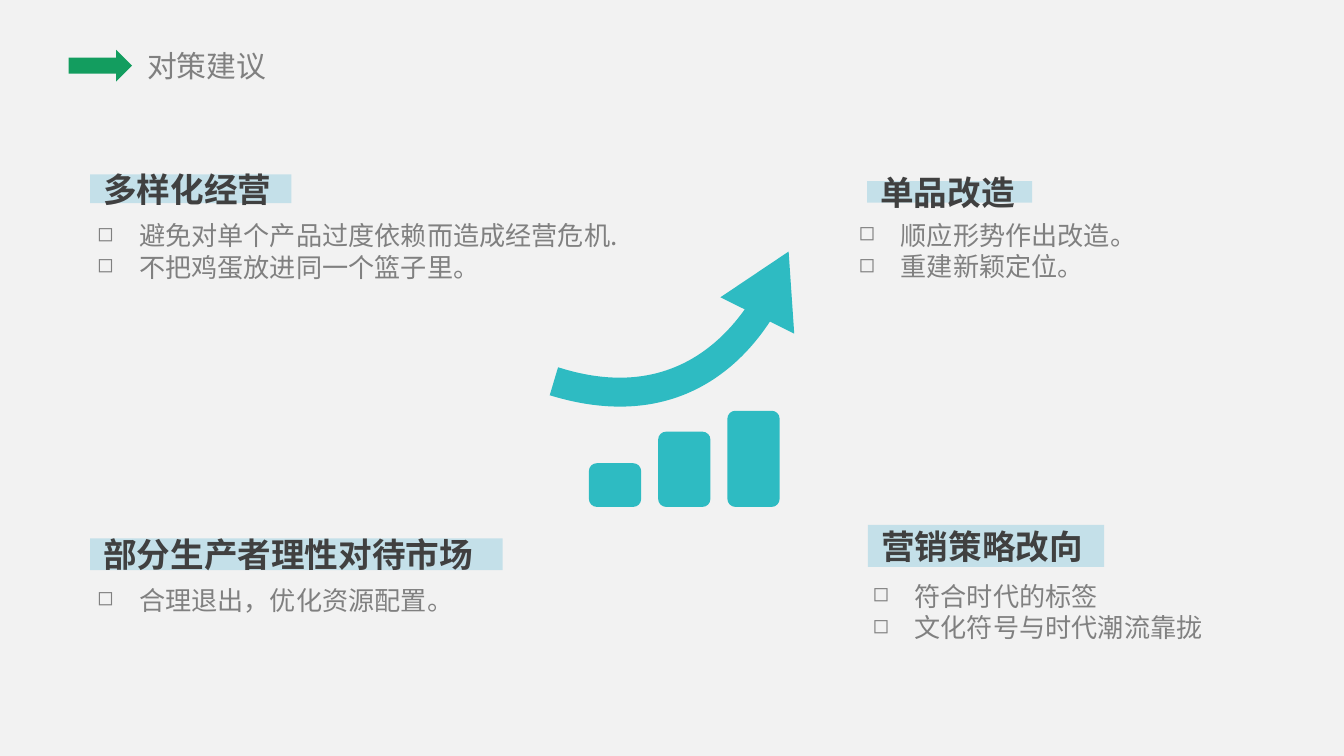
from lxml.etree import SubElement as Sub
from pptx import Presentation
from pptx.dml.color import RGBColor as Rgb
from pptx.enum.shapes import MSO_SHAPE as Kind
from pptx.enum.text import MSO_ANCHOR as Anchor, MSO_AUTO_SIZE as Auto, PP_ALIGN as Align
from pptx.oxml.ns import qn
from pptx.util import Pt

FONT = "Noto Sans CJK SC"
COLORS = {"back": "F2F2F2", "green": "139D5F", "band": "C4E0E9",
          "teal": "2EBBC2", "head": "404040", "text": "808080"}
STYLES = {
    "title": {"size": Pt(16), "bold": False, "color": "text"},
    "head": {"size": Pt(18), "bold": True, "color": "head"},
    "item": {"size": Pt(14), "bold": False, "color": "text"},
}
INDENT = 22.5

# Band box, heading, list corner relative to the band, list items
BLOCKS = [
    ((48.3, 93.4, 107.8, 15.4), "多样化经营", (3.7, 24.3),
     ["避免对单个产品过度依赖而造成经营危机.", "不把鸡蛋放进同一个篮子里。"]),
    ((464.5, 97, 88.5, 11.6), "单品改造", (-4.5, 20.5),
     ["顺应形势作出改造。", "重建新颖定位。"]),
    ((48.3, 288.5, 221, 17), "部分生产者理性对待市场", (3.7, 24.5),
     ["合理退出，优化资源配置。"]),
    ((465, 281.2, 126.5, 22.5), "营销策略改向", (2.5, 29.6),
     ["符合时代的标签", "文化符号与时代潮流靠拢"]),
]


def color(name):
    return Rgb.from_string(COLORS[name])


def paint(shape, name):
    shape.shadow.inherit = False
    shape.fill.solid()
    shape.fill.fore_color.rgb = color(name)
    shape.line.fill.background()


def write(para, text, style):
    run = para.add_run()
    run.text = text
    para.alignment = Align.LEFT
    font = run.font
    font.name = FONT
    for key, value in STYLES[style].items():
        if key == "color":
            font.color.rgb = color(value)
        else:
            setattr(font, key, value)
    Sub(run._r.get_or_add_rPr(), qn("a:ea"), typeface=FONT)


def setup(frame, **values):
    for key, value in values.items():
        setattr(frame, key, value)


def header(slide, x, y, w, h):
    # Arrow on the left, title on the right
    arrow = slide.shapes.add_shape(Kind.RIGHT_ARROW, Pt(x), Pt(y + 5.2), Pt(34), Pt(17))
    paint(arrow, "green")
    title = slide.shapes.title
    setup(title, left=Pt(x + 34.5), top=Pt(y), width=Pt(w - 34.5), height=Pt(h))
    frame = title.text_frame
    setup(frame, word_wrap=False, auto_size=Auto.NONE, vertical_anchor=Anchor.MIDDLE,
          margin_left=Pt(7.5), margin_right=Pt(7.5))
    write(frame.paragraphs[0], "对策建议", "title")


def block(slide, box, head, shift, items):
    # Heading on its band
    x, y, w, h = box
    band = slide.shapes.add_shape(Kind.RECTANGLE, *map(Pt, box))
    paint(band, "band")
    band.text_frame.vertical_anchor = Anchor.MIDDLE
    write(band.text_frame.paragraphs[0], head, "head")

    # Bulleted list
    note = slide.shapes.add_textbox(Pt(x + shift[0]), Pt(y + shift[1]),
                                    Pt(294.5), Pt(17 * len(items)))
    frame = note.text_frame
    setup(frame, word_wrap=True, margin_left=0, margin_top=0,
          margin_right=0, margin_bottom=0)
    for i, item in enumerate(items):
        para = frame.add_paragraph() if i else frame.paragraphs[0]
        para.line_spacing = Pt(16.8)
        write(para, item, "item")
        props = para._p.get_or_add_pPr()
        props.set("marL", str(Pt(INDENT)))
        props.set("indent", str(-Pt(INDENT)))
        Sub(props, qn("a:buSzPct"), val="78000")
        Sub(props, qn("a:buChar"), char="◻")


def round_bar(x, y, w, h, r=4.3, c=1.9):
    """Steps around a bar: one point is a line, three are a curve."""
    right, low = x + w, y + h
    return [[(x + r, y)],
            [(right - r, y)], [(right - c, y), (right, y + c), (right, y + r)],
            [(right, low - r)], [(right, low - c), (right - c, low), (right - r, low)],
            [(x + r, low)], [(x + c, low), (x, low - c), (x, low - r)],
            [(x, y + r)], [(x, y + c), (x + c, y), (x + r, y)]]


def bend(shape, steps):
    """Join the points of each three-point step into one Bézier curve."""
    lines = iter(list(shape._element.iter(qn("a:lnTo"))))
    for step in steps:
        group = [next(lines) for _ in step]
        if len(group) == 3:
            first = group[0]
            first.tag = qn("a:cubicBezTo")
            for line in group[1:]:
                first.append(line[0])
                line.getparent().remove(line)


def growth(slide, x, y, h):
    # Rising bars on one base line, under a bent arrow
    parts = [round_bar(21 + 37.1 * i, h - tall, 28, tall)
             for i, tall in enumerate([23.4, 40.3, 51.5])]
    parts.append([[(128, 0)], [(131, 44)], [(118, 37.5)],
                  [(101, 63.5), (65, 97), (0, 77)], [(4.5, 62)],
                  [(56, 78.5), (87, 55.5), (104.5, 31)], [(91.5, 24.5)]])
    pen = None
    for part in parts:
        spots = [(Pt(x + px), Pt(y + py)) for step in part for px, py in step]
        if pen is None:
            pen = slide.shapes.build_freeform(*spots[0])
        else:
            pen.move_to(*spots[0])
        pen.add_line_segments(spots[1:], close=True)
    shape = pen.convert_to_shape()
    bend(shape, [step for part in parts for step in part[1:]])
    paint(shape, "teal")


def main():
    deck = Presentation()
    deck.slide_width, deck.slide_height = Pt(720), Pt(405)
    slide = deck.slides.add_slide(deck.slide_layouts[5])
    slide.background.fill.solid()
    slide.background.fill.fore_color.rgb = color("back")
    header(slide, 36.75, 21.5, 114.5, 27.5)
    for args in BLOCKS:
        block(slide, *args)
    growth(slide, 294.5, 134.8, 136.8)
    deck.save("out.pptx")


if __name__ == "__main__":
    main()
